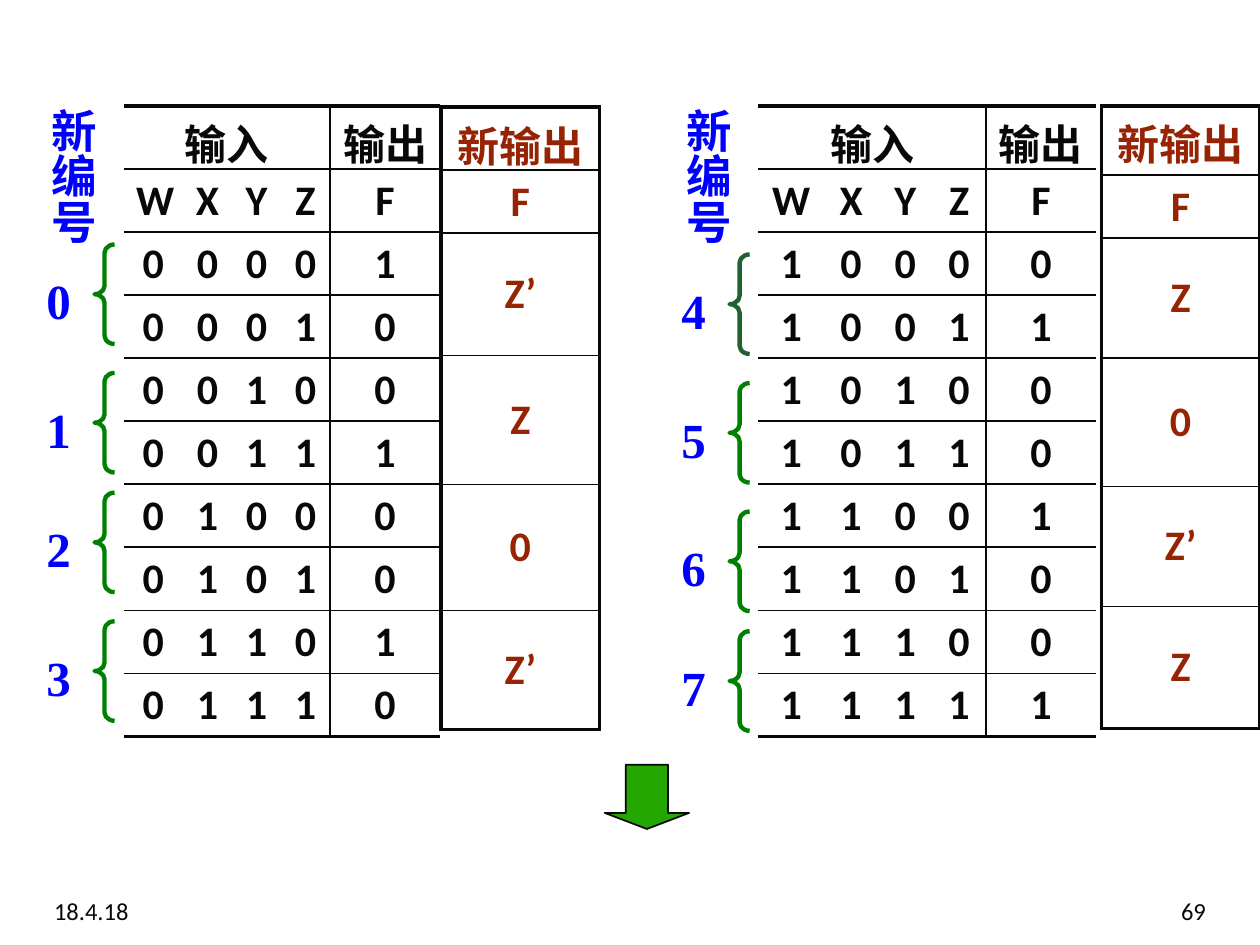
from dataclasses import dataclass

import pptx
import pptx.dml.color
import pptx.enum.shapes
import pptx.enum.text
import pptx.oxml
import pptx.oxml.ns
import pptx.util

Pt = pptx.util.Pt
RGBColor = pptx.dml.color.RGBColor
MSO_SHAPE = pptx.enum.shapes.MSO_SHAPE
ALIGN = pptx.enum.text.PP_ALIGN
ANCHOR = pptx.enum.text.MSO_ANCHOR

INK = RGBColor(0x08, 0x08, 0x08)
RUST = RGBColor(0x96, 0x23, 0x04)
BLUE = RGBColor(0x00, 0x00, 0xFF)
GREEN = RGBColor(0x00, 0x80, 0x00)
DARK_GREEN = RGBColor(0x1F, 0x61, 0x30)
ARROW_GREEN = RGBColor(0x25, 0xA7, 0x01)

NO_STYLE = "{2D5ABB26-0587-4C30-8999-92F81FD0307C}"
THIN, THICK = 1, 2.25
ROW_H = 36
NEW_W = 90.7


@dataclass
class Half:
    """One half of the truth table with its numbering and new outputs."""
    first_row: int
    left: float
    columns: tuple[float, ...]
    outputs: str
    new_left: float
    new_top: float
    new_rows: tuple[float, ...]
    new_outputs: tuple[str, ...]
    new_header_bottom: float
    label_left: float
    brace_tops: tuple[float, ...]
    brace_colors: tuple[RGBColor, ...]


HALVES = (
    Half(0, 70.6, (34, 28, 28, 28, 63), "10010010",
         252, 61.2, (33, 34, 70, 73.5, 72, 68), ("Z’", "Z", "0", "Z’"), 3.6,
         19.4, (139.7, 213.1, 281.5, 355), (GREEN,) * 4),
    Half(8, 433.4, (37.5, 31, 31, 30.5, 63), "01001001",
         629.3, 60.5, (39.5, 34, 68.5, 73.5, 68.5, 70), ("Z", "0", "Z’", "Z"), 1.2,
         382.3, (145.4, 218.9, 292.3, 360.7), (DARK_GREEN,) + (GREEN,) * 3),
)


def set_font(p, size: float, color: RGBColor, name: str, bold: bool) -> None:
    p.font.size = Pt(size)
    p.font.color.rgb = color
    p.font.name = name
    p.font.bold = bold


def add_text(shapes, text: str, box: tuple[float, ...], size: float, color: RGBColor,
             name: str, bold: bool = False, align=ALIGN.LEFT):
    tb = shapes.add_textbox(*map(Pt, box))
    tf = tb.text_frame
    tf.word_wrap = True
    p = tf.paragraphs[0]
    p.text = text
    p.alignment = align
    set_font(p, size, color, name, bold)
    return tb


def set_borders(cell, widths: dict[str, float]) -> None:
    """Draw the given sides (L, R, T, B) and hide the others."""
    tcPr = cell._tc.get_or_add_tcPr()
    for side in "LRTB":
        width = widths.get(side, 0)
        fill = (f'<a:solidFill><a:srgbClr val="{INK}"/></a:solidFill>'
                if width else "<a:noFill/>")
        tcPr.append(pptx.oxml.parse_xml(
            f'<a:ln{side} {pptx.oxml.ns.nsdecls("a")} w="{int(Pt(width))}">{fill}</a:ln{side}>'))


def add_grid(s, left: float, top: float, columns: tuple[float, ...],
             rows: tuple[float, ...], texts: list[list[str]], color: RGBColor,
             sides: list[dict[str, float]]):
    """Add a ruled table; sides holds the vertical borders of each column."""
    frame = s.shapes.add_table(len(rows), len(columns), Pt(left), Pt(top),
                               Pt(sum(columns)), Pt(sum(rows)))
    table = frame.table
    table.first_row = table.horz_banding = False
    table._tbl.tblPr.find(pptx.oxml.ns.qn("a:tableStyleId")).text = NO_STYLE
    for column, width in zip(table.columns, columns):
        column.width = Pt(width)
    last = len(rows) - 1
    for i, height in enumerate(rows):
        table.rows[i].height = Pt(height)
        for j, text in enumerate(texts[i]):
            cell = table.cell(i, j)
            set_borders(cell, sides[j] | {"T": THIN if i else THICK,
                                          "B": THIN if i < last else THICK})
            cell.fill.background()
            cell.vertical_anchor = ANCHOR.MIDDLE
            p = cell.text_frame.paragraphs[0]
            p.text = text
            p.alignment = ALIGN.CENTER
            set_font(p, 24, color, "Calibri", True)
    return table


def add_truth_table(s, half: Half) -> None:
    texts = [["输入", "", "", "", "输出"], list("WXYZF")]
    texts += [list(f"{half.first_row + i:04b}{f}") for i, f in enumerate(half.outputs)]
    sides = [{}, {}, {}, {"R": THIN}, {"L": THIN}]
    table = add_grid(s, half.left, 60.5, half.columns, (ROW_H,) * len(texts),
                     texts, INK, sides)
    table.cell(0, 0).merge(table.cell(0, 3))


def add_new_outputs(s, half: Half) -> None:
    texts = [[text] for text in ("新输出", "F", *half.new_outputs)]
    table = add_grid(s, half.new_left, half.new_top, (NEW_W,), half.new_rows, texts,
                     RUST, [{"L": THICK, "R": THICK}])
    table.cell(0, 0).margin_bottom = Pt(half.new_header_bottom)


def add_numbering(s, half: Half) -> None:
    shapes = s.shapes.add_group_shape().shapes
    for i, (top, color) in enumerate(zip(half.brace_tops, half.brace_colors)):
        sp = shapes.add_shape(MSO_SHAPE.LEFT_BRACE, Pt(half.label_left + 34.6), Pt(top),
                              Pt(11.5), Pt(56.9))
        sp.adjustments[0], sp.adjustments[1] = 0.416, 0.5
        sp.shadow.inherit = False
        sp.fill.background()
        sp.line.color.rgb = color
        sp.line.width = Pt(2.5)
        add_text(shapes, str(half.first_row // 2 + i),
                 (half.label_left, top + 11.4, 39.6, 41), 28, BLUE,
                 "Times New Roman", True)
    # Vertical heading above the numbers
    tb = add_text(shapes, "新编号", (half.label_left - 5, 54.7, 46.1, 96.5), 26, BLUE,
                  "Times New Roman", True)
    tb.text_frame._txBody.bodyPr.set("vert", "eaVert")


def main() -> None:
    prs = pptx.Presentation()
    prs.slide_width, prs.slide_height = Pt(720), Pt(540)
    s = prs.slides.add_slide(prs.slide_layouts[6])

    # Date and slide number
    add_text(s.shapes, "18.4.18", (23.8, 508.3, 180, 20.9), 14, INK, "Calibri")
    add_text(s.shapes, "69", (516.2, 508.3, 180, 20.9), 14, INK, "Calibri",
             align=ALIGN.RIGHT)

    # Both halves of the truth table
    for half in HALVES:
        add_truth_table(s, half)
        add_new_outputs(s, half)
        add_numbering(s, half)

    # Arrow to the next step
    sp = s.shapes.add_shape(MSO_SHAPE.DOWN_ARROW, Pt(345.6), Pt(437), Pt(48.2), Pt(36.7))
    sp.adjustments[0], sp.adjustments[1] = 0.5, 0.25
    sp.shadow.inherit = False
    sp.fill.solid()
    sp.fill.fore_color.rgb = ARROW_GREEN
    sp.line.color.rgb = INK
    sp.line.width = Pt(1)

    prs.save("out.pptx")


if __name__ == "__main__":
    main()
